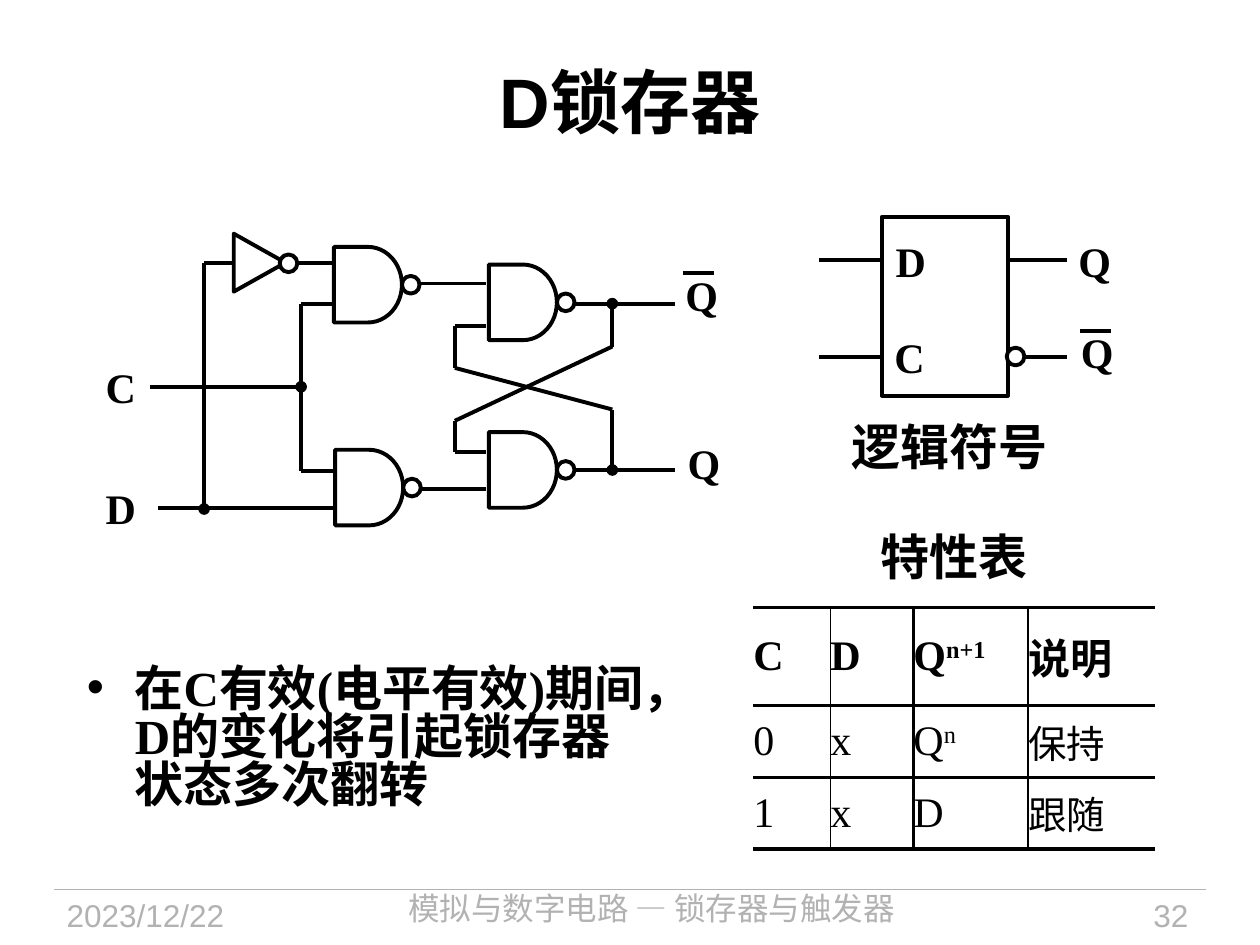
from itertools import pairwise

from lxml.etree import SubElement
from pptx import Presentation
from pptx.dml.color import RGBColor
from pptx.enum.shapes import MSO_CONNECTOR, MSO_SHAPE
from pptx.enum.text import MSO_ANCHOR, MSO_AUTO_SIZE, PP_ALIGN
from pptx.oxml.ns import qn
from pptx.util import Inches, Pt

BLACK, WHITE, GRAY = "000000", "FFFFFF", "B2B2B2"
SERIF, SANS, HAN = "Times New Roman", "Arial", "Noto Sans CJK SC"
TIGHT = 0.82


def paint(code):
    return RGBColor.from_string(code)


def place(*sides):
    return [Inches(side) for side in sides]


class Sheet:
    width = 2.25
    bubble = 0.14

    def __init__(self, slide):
        self.slide = slide
        self.shapes = slide.shapes

    def run(self, para, text, size=24, font=SERIF, bold=True, color=BLACK, lift=0):
        run = para.add_run()
        run.text = text
        run.font.size = Pt(size)
        run.font.bold = bold
        run.font.name = font
        run.font.color.rgb = paint(color)
        props = run.font._element
        SubElement(props, qn("a:ea")).set("typeface", HAN)
        if lift:
            props.set("baseline", str(lift * 1000))

    def text(self, box, text, align=PP_ALIGN.LEFT, wrap=False, space=None, **style):
        frame = self.shapes.add_textbox(*place(*box)).text_frame
        frame.word_wrap = wrap
        para = frame.paragraphs[0]
        para.alignment = align
        para.line_spacing = space
        self.run(para, text, **style)

    def title(self, box, text):
        holder = self.slide.shapes.title
        holder.left, holder.top, holder.width, holder.height = place(*box)
        frame = holder.text_frame
        frame.vertical_anchor = MSO_ANCHOR.MIDDLE
        frame.paragraphs[0].alignment = PP_ALIGN.CENTER
        self.run(frame.paragraphs[0], text, size=40, font=SANS)

    def body(self, box, text):
        holder = self.slide.placeholders[1]
        holder.left, holder.top, holder.width, holder.height = place(*box)
        frame = holder.text_frame
        frame.auto_size = MSO_AUTO_SIZE.NONE
        para = frame.paragraphs[0]
        props = para._p.get_or_add_pPr()
        props.set("marL", str(Inches(0.38)))
        props.set("indent", str(-Inches(0.38)))
        SubElement(props, qn("a:buFont")).set("typeface", SANS)
        SubElement(props, qn("a:buChar")).set("char", "•")
        para.line_spacing = TIGHT
        para.space_before = Pt(0)
        self.run(para, text, size=28)

    def wire(self, *points, dot=False, color=BLACK, width=width):
        for step, (start, end) in enumerate(pairwise(points)):
            wire = self.shapes.add_connector(
                MSO_CONNECTOR.STRAIGHT, *place(*start, *end))
            wire.line.color.rgb = paint(color)
            wire.line.width = Pt(width)
            if dot and step == 0:
                SubElement(wire.line._get_or_add_ln(), qn("a:headEnd")).set("type", "oval")
            SubElement(wire._element.spPr, qn("a:effectLst"))

    def shape(self, kind, box, turn=0):
        shape = self.shapes.add_shape(kind, *place(*box))
        shape.shadow.inherit = False
        shape.fill.solid()
        shape.fill.fore_color.rgb = paint(WHITE)
        shape.line.color.rgb = paint(BLACK)
        shape.line.width = Pt(self.width)
        shape.rotation = turn

    def ring(self, left, top):
        self.shape(MSO_SHAPE.OVAL, (left, top, self.bubble, self.bubble))

    def gate(self, left, top):
        self.shape(MSO_SHAPE.FLOWCHART_DELAY, (left, top, 0.54, 0.6))
        self.ring(left + 0.54, top + 0.23)

    def edge(self, cell, side, width):
        line = SubElement(cell._tc.get_or_add_tcPr(), qn("a:ln" + side))
        if not width:
            SubElement(line, qn("a:noFill"))
            return
        line.set("w", str(Pt(width)))
        fill = SubElement(line, qn("a:solidFill"))
        SubElement(fill, qn("a:srgbClr")).set("val", BLACK)

    def table(self, box, cols, rows, data):
        table = self.shapes.add_table(len(rows), len(cols), *place(*box)).table
        table.first_row = table.horz_banding = False
        for col, width in zip(table.columns, cols):
            col.width = Inches(width)
        rules = [0, 1, 2.25, 1, 0]
        for r, (height, line) in enumerate(zip(rows, data)):
            table.rows[r].height = Inches(height)
            for c, parts in enumerate(line):
                cell = table.cell(r, c)
                cell.margin_left = cell.margin_right = 0
                cell.margin_top = cell.margin_bottom = 0
                cell.vertical_anchor = MSO_ANCHOR.MIDDLE
                edges = zip("LRTB", (rules[c], rules[c + 1], 2.25, 2.25))
                for side, width in edges:
                    self.edge(cell, side, width)
                cell.fill.background()
                size = 22 if r and c == 3 else 24
                for k, part in enumerate(parts):
                    self.run(cell.text_frame.paragraphs[0], part, size=size,
                             bold=r == 0, lift=30 * k)


def main():
    deck = Presentation()
    deck.slide_width, deck.slide_height = place(10, 7.5)
    sheet = Sheet(deck.slides.add_slide(deck.slide_layouts[1]))

    sheet.wire((0.43, 7.06), (9.57, 7.06), color=GRAY, width=0.75)
    for left, width, text, font, align in (
        (0.43, 1.88, "2023/12/22", SANS, PP_ALIGN.LEFT),
        (2.49, 5.36, "模拟与数字电路 — 锁存器与触发器", HAN, PP_ALIGN.CENTER),
        (8.2, 1.33, "32", SANS, PP_ALIGN.RIGHT),
    ):
        sheet.text((left, 7.06, width, 0.44), text, align, wrap=True,
                   space=TIGHT if font == HAN else None,
                   size=18, font=font, bold=False, color=GRAY)

    sheet.title((0.5, 0.17, 9, 1.25), "D锁存器")
    sheet.body((0.59, 5.25, 4.62, 1.65), "在C有效(电平有效)期间，D的变化将引起锁存器状态多次翻转")

    for points in (
        [(4.44, 2.41), (5.36, 2.41)],
        [(4.44, 3.73), (5.36, 3.73)],
        [(2.66, 2.41), (2.39, 2.41), (2.39, 3.74), (2.67, 3.74)],
        [(2.67, 4.03), (1.25, 4.03)],
        [(3.03, 2.25), (3.86, 2.25)],
        [(3.03, 3.88), (3.86, 3.88)],
        [(5.42, 2.17), (5.67, 2.17)],
    ):
        sheet.wire(*points)
    for points in (
        [(2.39, 3.07), (1.19, 3.07)],
        [(1.62, 4.04), (1.62, 2.09), (2.71, 2.09)],
        [(4.86, 2.41), (4.86, 2.75), (3.61, 3.34), (3.61, 3.59), (3.86, 3.59)],
        [(4.86, 3.73), (4.86, 3.25), (3.61, 2.92), (3.61, 2.59), (3.86, 2.59)],
    ):
        sheet.wire(*points, dot=True)

    for left, top in ((3.88, 2.1), (3.88, 3.43), (2.65, 1.96), (2.66, 3.57)):
        sheet.gate(left, top)
    sheet.shape(MSO_SHAPE.ISOSCELES_TRIANGLE, (1.83, 1.88, 0.46, 0.41), turn=90)
    sheet.ring(2.22, 2.02)

    sheet.shape(MSO_SHAPE.RECTANGLE, (7, 1.72, 1, 1.42))
    for start, end, level in ((7, 6.5, 2.06), (7, 6.5, 2.83), (8, 8.47, 2.06),
                              (8.08, 8.47, 2.83), (8.57, 8.82, 2.63)):
        sheet.wire((start, level), (end, level))
    sheet.ring(7.99, 2.76)

    for text, left, top in (
        ("D", 0.74, 3.78), ("C", 0.74, 2.82), ("Q", 5.34, 2.09), ("Q", 5.36, 3.42),
        ("D", 7.01, 1.82), ("C", 7, 2.58), ("Q", 8.46, 1.82), ("Q", 8.48, 2.54),
    ):
        sheet.text((left, top, 0.45, 0.5), text)

    sheet.text((6.66, 3.34, 1.87, 0.57), "逻辑符号", wrap=True,
               space=TIGHT, size=28, font=SANS)
    sheet.text((6.89, 4.21, 1.37, 0.57), "特性表", space=TIGHT, size=28)
    sheet.table((5.98, 4.82, 3.18, 1.93), [0.61, 0.66, 0.91, 1.01], [0.78, 0.57, 0.57], [
        [["C"], ["D"], ["Q", "n+1"], ["说明"]],
        [["0"], ["x"], ["Q", "n"], ["保持"]],
        [["1"], ["x"], ["D"], ["跟随"]],
    ])
    deck.save("out.pptx")


if __name__ == "__main__":
    main()
